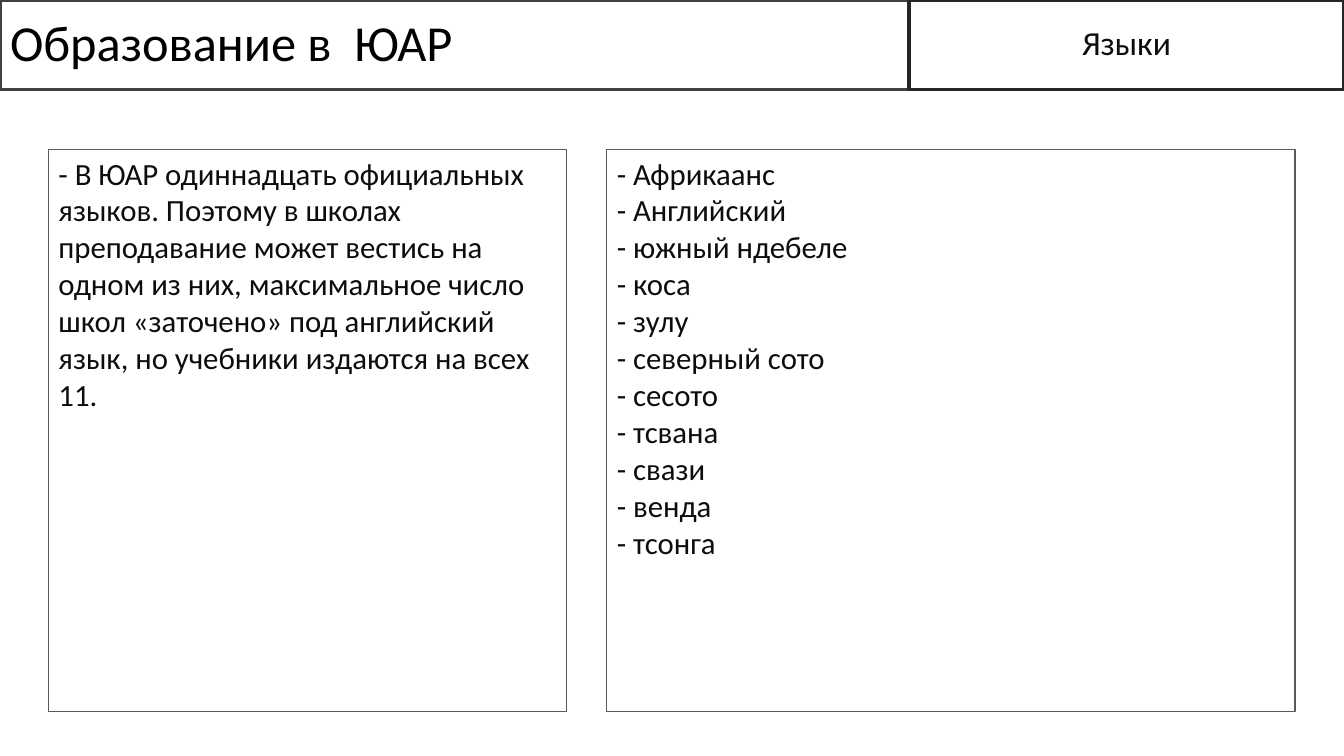
"""Build the slide about the languages of schooling in South Africa."""
from dataclasses import dataclass

from pptx import Presentation
from pptx.dml.color import RGBColor as Rgb
from pptx.enum.shapes import MSO_SHAPE as Form
from pptx.enum.text import MSO_ANCHOR as Anchor, MSO_AUTO_SIZE as Fit, PP_ALIGN as Align
from pptx.oxml.xmlchemy import OxmlElement as Node
from pptx.shapes.autoshape import Shape
from pptx.util import Cm, Pt


@dataclass(frozen=True)
class Theme:
    font: str = "Calibri"
    fill: str = "FFFFFF"
    black: str = "000000"
    ink: str = "0D0D0D"
    dark: str = "262626"
    edge: str = "404040"
    rim: str = "595959"
    head: float = 36
    tag: float = 24
    body: float = 22
    thick: float = 2.25
    thin: float = 1


@dataclass(frozen=True)
class Panel:
    left: float
    top: float
    width: float
    height: float
    line: str
    weight: float
    size: float
    ink: str
    texts: list[str]
    align: Align = Align.LEFT
    anchor: Anchor = Anchor.TOP
    lead: float = 1.0


THEME = Theme()
WIDE, HIGH = 33.87, 19.05
SPLIT, BAR = 22.91, 2.26
TOP, DEPTH = 3.76, 14.17

TITLE = Panel(0, 0, SPLIT, BAR, THEME.edge, THEME.thick, THEME.head, THEME.black,
              ["Образование в  ЮАР"], anchor=Anchor.MIDDLE, lead=0.9)
TOPIC = Panel(SPLIT, 0, WIDE - SPLIT, BAR, THEME.dark, THEME.thick, THEME.tag, THEME.ink,
              ["Языки"], Align.CENTER, Anchor.MIDDLE, 0.9)
FACTS = Panel(1.22, TOP, 13.06, DEPTH, THEME.rim, THEME.thin, THEME.body, THEME.ink,
              ["- В ЮАР одиннадцать официальных языков. Поэтому в школах "
               "преподавание может вестись на одном из них, максимальное число "
               "школ «заточено» под английский язык, но учебники издаются на всех 11."])
TONGUES = ["Африкаанс", "Английский", "южный ндебеле", "коса", "зулу", "северный сото",
           "сесото", "тсвана", "свази", "венда", "тсонга"]
LIST = Panel(15.29, TOP, 17.35, DEPTH, THEME.rim, THEME.thin, THEME.body, THEME.ink,
             [f"- {name}" for name in TONGUES])


def write(shape: Shape, panel: Panel) -> None:
    frame = shape.text_frame
    frame.word_wrap = True
    frame.auto_size = Fit.NONE
    frame.vertical_anchor = panel.anchor
    for index, text in enumerate(panel.texts):
        para = frame.add_paragraph() if index else frame.paragraphs[0]
        para.alignment = panel.align
        para.line_spacing = panel.lead
        para.space_before = para.space_after = Pt(0)
        props = para._p.get_or_add_pPr()
        props.set("marL", "0")
        props.set("indent", "0")
        props.append(Node("a:buNone"))
        run = para.add_run()
        run.text = text
        run.font.name = THEME.font
        run.font.size = Pt(panel.size)
        run.font.color.rgb = Rgb.from_string(panel.ink)


def draw(shape: Shape, panel: Panel) -> None:
    shape.left, shape.top = Cm(panel.left), Cm(panel.top)
    shape.width, shape.height = Cm(panel.width), Cm(panel.height)
    shape.shadow.inherit = False
    shape.fill.solid()
    shape.fill.fore_color.rgb = Rgb.from_string(THEME.fill)
    shape.line.color.rgb = Rgb.from_string(panel.line)
    shape.line.width = Pt(panel.weight)
    write(shape, panel)


def main() -> None:
    deck = Presentation()
    deck.slide_width, deck.slide_height = Cm(WIDE), Cm(HIGH)
    slide = deck.slides.add_slide(deck.slide_layouts.get_by_name("Two Content"))
    title, facts, names = slide.placeholders
    topic = slide.shapes.add_shape(Form.RECTANGLE, 0, 0, 0, 0)
    for shape, panel in ((title, TITLE), (topic, TOPIC), (facts, FACTS), (names, LIST)):
        draw(shape, panel)
    deck.save("out.pptx")


if __name__ == "__main__":
    main()
